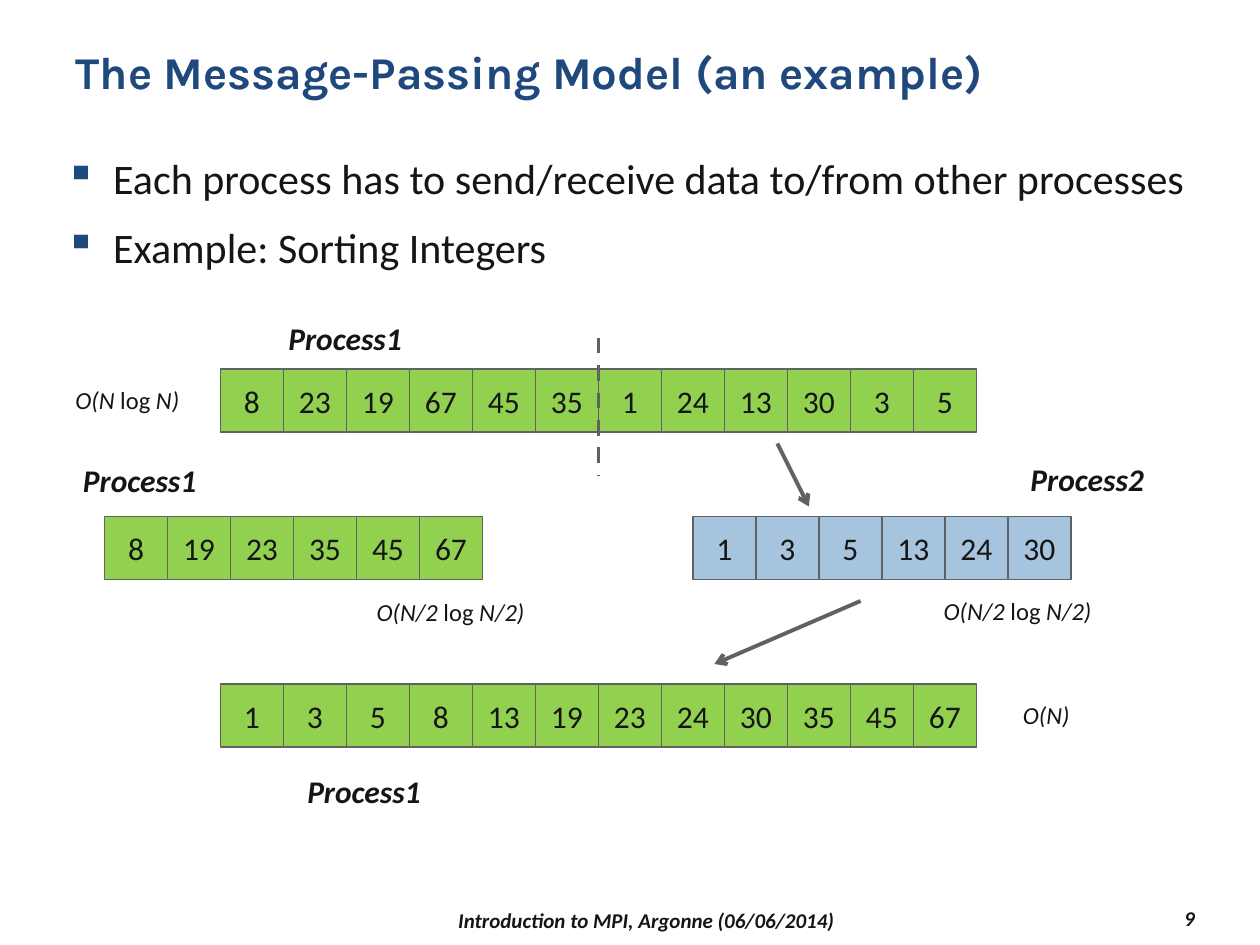
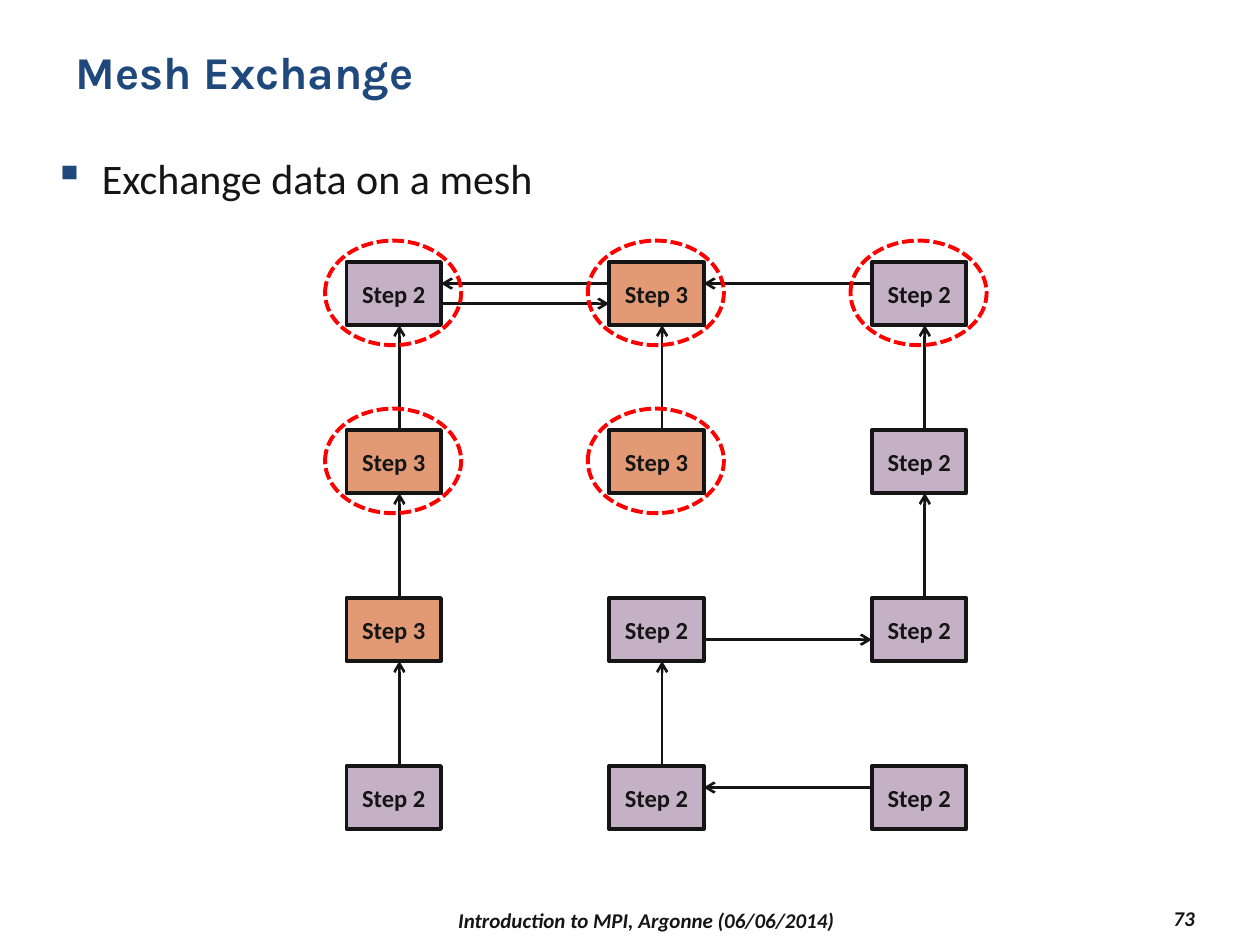
from lxml import etree
from pptx import Presentation
from pptx.dml.color import RGBColor
from pptx.enum.dml import MSO_LINE
from pptx.enum.shapes import MSO_CONNECTOR, MSO_SHAPE
from pptx.enum.text import MSO_ANCHOR, MSO_AUTO_SIZE, PP_ALIGN
from pptx.oxml.ns import qn
from pptx.util import Inches, Pt

RECTANGLE, OVAL = MSO_SHAPE.RECTANGLE, MSO_SHAPE.OVAL
STRAIGHT = MSO_CONNECTOR.STRAIGHT
DASH, SQUARE_DASH = MSO_LINE.DASH, MSO_LINE.SQUARE_DOT
TOP, MIDDLE = MSO_ANCHOR.TOP, MSO_ANCHOR.MIDDLE
LEFT, CENTER, RIGHT = PP_ALIGN.LEFT, PP_ALIGN.CENTER, PP_ALIGN.RIGHT

NAVY, INK, GRAY = "1F497D", "151515", "616161"
GREEN, BLUE = "92D050", "A6C4DE"
MAUVE, ORANGE, RED = "C4B1C5", "E29A75", "FF0000"
HEADING_FONT, BODY_FONT = "Karla", "Calibri"
TITLE_ONLY = 5
FOOTER = "Introduction to MPI, Argonne (06/06/2014)"

NUMBERS = [8, 23, 19, 67, 45, 35, 1, 24, 13, 30, 3, 5]
HALF = len(NUMBERS) // 2
CELL = 0.5

MESH_STEPS = [(2, 3, 2), (3, 3, 2), (3, 2, 2), (2, 2, 2)]
STEP_FILLS = {2: MAUVE, 3: ORANGE}
STEP_WIDTH, STEP_HEIGHT = 0.75, 0.5
UPWARD_SENDS = [(0, 1), (1, 1), (2, 1), (0, 2), (2, 2), (0, 3), (1, 3)]
SIDEWAYS_SENDS = [(0, 0, 1), (0, 1, 0), (0, 2, 1), (2, 1, 2), (3, 2, 1)]
ACTIVE_STEPS = [(0, 0), (1, 0), (2, 0), (0, 1), (1, 1)]


def rgb(color):
    return RGBColor.from_string(color)


def add_bullet(paragraph):
    properties = paragraph._p.get_or_add_pPr()
    properties.set("marL", str(Inches(0.38)))
    properties.set("indent", str(-Inches(0.38)))
    bullet_color = etree.SubElement(properties, qn("a:buClr"))
    etree.SubElement(bullet_color, qn("a:srgbClr")).set("val", NAVY)
    etree.SubElement(properties, qn("a:buChar")).set("char", "▪")


def write_text(frame, text, size=18, color=INK, font=BODY_FONT, bold=False, italic=False,
               upright=None, align=LEFT, anchor=TOP, wrap=True, bullets=False):
    frame.word_wrap = wrap
    frame.auto_size = MSO_AUTO_SIZE.NONE
    frame.vertical_anchor = anchor
    for index, line in enumerate(text.split("\n")):
        paragraph = frame.add_paragraph() if index else frame.paragraphs[0]
        paragraph.alignment = align
        if bullets:
            add_bullet(paragraph)
            paragraph.line_spacing = 1.2
            paragraph.space_before = Pt(4.8 if index else 0)
        for piece in line.partition(upright) if upright else [line]:
            run = paragraph.add_run()
            run.text = piece
            run.font.size = Pt(size)
            run.font.name = font
            run.font.color.rgb = rgb(color)
            run.font.bold = bold
            run.font.italic = italic and piece != upright


def add_text(slide, box, text, **text_format):
    textbox = slide.shapes.add_textbox(*map(Inches, box))
    write_text(textbox.text_frame, text, **text_format)


def add_box(slide, box, kind=RECTANGLE, fill=None, line=INK, width=2.25, dash=None):
    shape = slide.shapes.add_shape(kind, *map(Inches, box))
    shape.shadow.inherit = False
    if fill:
        shape.fill.solid()
        shape.fill.fore_color.rgb = rgb(fill)
    else:
        shape.fill.background()
    shape.line.color.rgb = rgb(line)
    shape.line.width = Pt(width)
    if dash:
        shape.line.dash_style = dash
    return shape


def add_line(slide, start, end, color=INK, width=1.5, dash=None, arrow=True):
    connector = slide.shapes.add_connector(STRAIGHT, *map(Inches, (*start, *end)))
    connector.line.color.rgb = rgb(color)
    connector.line.width = Pt(width)
    if dash:
        connector.line.dash_style = dash
    if arrow:
        etree.SubElement(connector.line._get_or_add_ln(), qn("a:tailEnd")).set("type", "arrow")
    etree.SubElement(connector._element.spPr, qn("a:effectLst"))


def add_base_slide(presentation, title, body, body_box, number):
    slide = presentation.slides.add_slide(presentation.slide_layouts[TITLE_ONLY])
    heading = slide.shapes.title
    heading.left, heading.top, heading.width, heading.height = map(Inches, (0.5, 0.3, 9, 0.87))
    write_text(heading.text_frame, title, size=26, color=NAVY, font=HEADING_FONT, bold=True)
    add_text(slide, body_box, body, size=24, bullets=True)
    footer_format = {"size": 12, "bold": True, "italic": True, "anchor": MIDDLE}
    add_text(slide, (2.17, 7.17, 5.92, 0.27), FOOTER, align=CENTER, **footer_format)
    add_text(slide, (8.5, 7.15, 1.08, 0.27), str(number), align=RIGHT, **footer_format)
    return slide


def draw_number_row(slide, left, top, numbers, fill):
    for index, number in enumerate(numbers):
        cell = add_box(slide, (left + index * CELL, top, CELL, CELL),
                       fill=fill, line=GRAY, width=0.75)
        write_text(cell.text_frame, str(number), align=CENTER, anchor=MIDDLE)


def draw_sorting(slide, left, top):
    def at(x, y):
        return left + x, top + y

    rows = [
        (1.25, 0.45, NUMBERS, GREEN),
        (0.33, 1.62, sorted(NUMBERS[:HALF]), GREEN),
        (5, 1.62, sorted(NUMBERS[HALF:]), BLUE),
        (1.25, 2.95, sorted(NUMBERS), GREEN),
    ]
    for x, y, numbers, fill in rows:
        draw_number_row(slide, *at(x, y), numbers, fill)

    owners = [(1.69, 0, "Process1"), (0.06, 1.13, "Process1"),
              (7.58, 1.12, "Process2"), (1.84, 3.6, "Process1")]
    for x, y, owner in owners:
        add_text(slide, (*at(x, y), 1.11, 0.4), owner, bold=True, italic=True, wrap=False)

    costs = [(0, 0.53, 1.03, "O(N log N)"), (2.39, 2.21, 1.38, "O(N/2 log N/2)"),
             (6.89, 2.2, 1.38, "O(N/2 log N/2)"), (7.52, 3.03, 0.58, "O(N)")]
    for x, y, width, cost in costs:
        add_text(slide, (*at(x, y), width, 0.34), cost, size=14, italic=True,
                 upright="log" if "log" in cost else None, wrap=False)

    add_line(slide, at(4.25, 0.2), at(4.25, 1.29), GRAY, 2.25, dash=DASH, arrow=False)
    add_line(slide, at(5.67, 1.04), at(5.92, 1.54), GRAY, 2.25)
    add_line(slide, at(6.33, 2.29), at(5.17, 2.79), GRAY, 2.25)


def draw_mesh(slide, left, top, width, height):
    column_pitch = (width - STEP_WIDTH) / (len(MESH_STEPS[0]) - 1)
    row_pitch = (height - STEP_HEIGHT) / (len(MESH_STEPS) - 1)

    def corner(column, row):
        return left + column * column_pitch, top + row * row_pitch

    for row, steps in enumerate(MESH_STEPS):
        for column, step in enumerate(steps):
            box = add_box(slide, (*corner(column, row), STEP_WIDTH, STEP_HEIGHT),
                          fill=STEP_FILLS[step])
            write_text(box.text_frame, f"Step {step}", size=14, bold=True,
                       align=CENTER, anchor=MIDDLE)

    for column, row in UPWARD_SENDS:
        x, y = corner(column, row)
        x += 0.42
        add_line(slide, (x, y), (x, y - row_pitch + STEP_HEIGHT))

    for row, source, target in SIDEWAYS_SENDS:
        rightward = target > source
        start, y = corner(source, row)
        end, _ = corner(target, row)
        y += 0.33 if rightward else 0.17
        if rightward:
            start += STEP_WIDTH
        else:
            end += STEP_WIDTH
        add_line(slide, (start, y), (end, y))

    for column, row in ACTIVE_STEPS:
        x, y = corner(column, row)
        add_box(slide, (x - 0.17, y - 0.17, 1.08, 0.83), kind=OVAL, line=RED, dash=SQUARE_DASH)


def main():
    presentation = Presentation()
    presentation.slide_width, presentation.slide_height = Inches(10), Inches(7.5)

    sorting_slide = add_base_slide(
        presentation, "The Message-Passing Model (an example)",
        "Each process has to send/receive data to/from other processes\n"
        "Example: Sorting Integers", (0.42, 1.08, 9.17, 1.17), 9)
    draw_sorting(sorting_slide, 0.5, 2.48)

    mesh_slide = add_base_slide(presentation, "Mesh Exchange", "Exchange data on a mesh",
                                (0.33, 1.08, 9.33, 0.76), 73)
    draw_mesh(mesh_slide, 2.75, 2.08, 4.92, 4.5)

    presentation.save("out.pptx")


if __name__ == "__main__":
    main()
